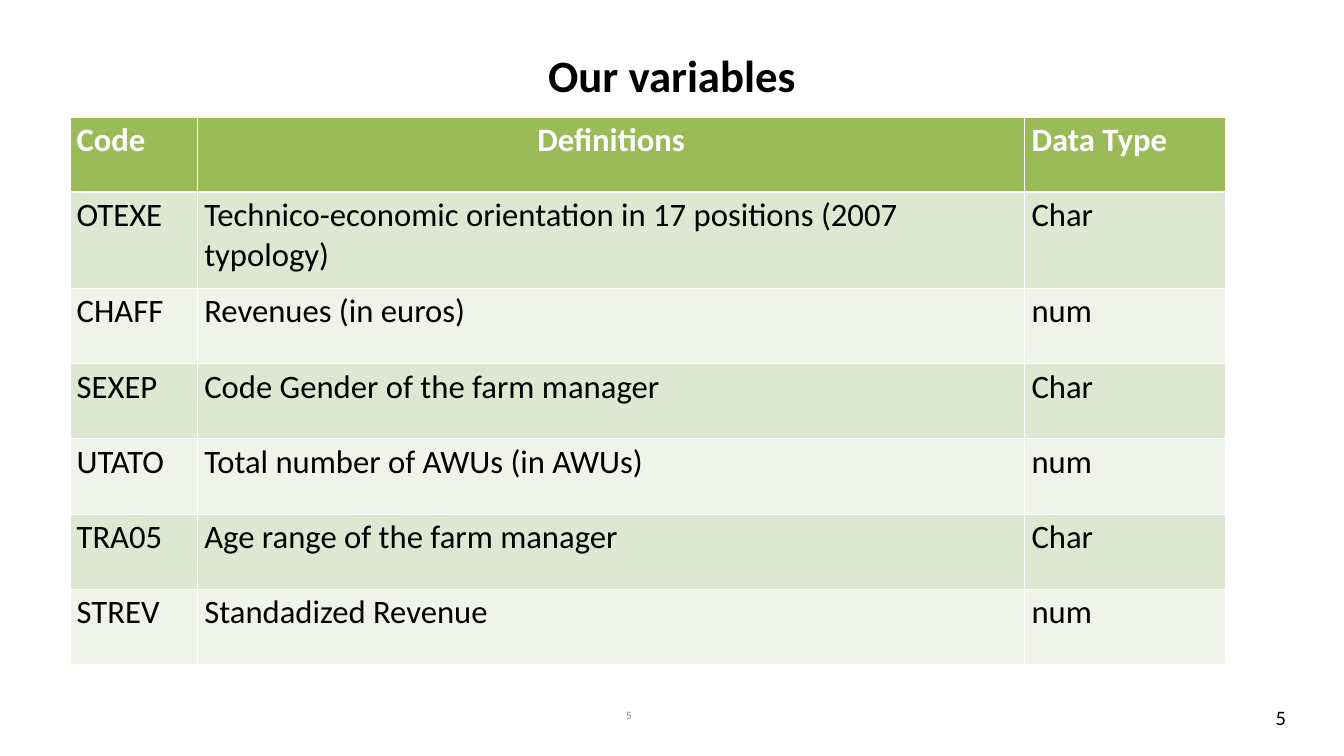
from lxml import etree
from pptx import Presentation
from pptx.dml.color import RGBColor
from pptx.enum.text import MSO_ANCHOR, PP_ALIGN
from pptx.oxml.ns import qn
from pptx.util import Inches, Pt

LEFT, MID, RIGHT = PP_ALIGN.LEFT, PP_ALIGN.CENTER, PP_ALIGN.RIGHT
TOP, CENTRE = MSO_ANCHOR.TOP, MSO_ANCHOR.MIDDLE
WIDE, HIGH = 20, 11.25
FONT = "Calibri"
BLACK, WHITE, GREY = "000000", "FFFFFF", "8C8C8C"
HEAD, BANDS = "9BBB59", ("DEE7D1", "EFF3EA")

COLS = (1.9, 12.31, 2.98)
ROW, TALL = 1.12, 1.43
FOOT = 10.44
ROWS = (
    ("Code", "Definitions", "Data Type"),
    ("OTEXE", "Technico-economic orientation in 17 positions (2007 typology)", "Char"),
    ("CHAFF", "Revenues (in euros)", "num"),
    ("SEXEP", "Code Gender of the farm manager", "Char"),
    ("UTATO", "Total number of AWUs (in AWUs)", "num"),
    ("TRA05", "Age range of the farm manager", "Char"),
    ("STREV", "Standadized Revenue", "num"),
)


def paint(code):
    return RGBColor.from_string(code)


def write(frame, text, size, color=BLACK, bold=False, align=LEFT):
    para = frame.paragraphs[0]
    para.alignment = align
    run = para.add_run()
    run.text = text
    font = run.font
    font.name, font.size, font.bold = FONT, Pt(size), bold
    font.color.rgb = paint(color)


def place(shape, left, top, width, height):
    shape.left, shape.top = Inches(left), Inches(top)
    shape.width, shape.height = Inches(width), Inches(height)


def add_title(slide, text):
    title = slide.shapes.title
    wide = 0.45 * WIDE
    place(title, (WIDE - wide) / 2, 0.49, wide, HIGH / 9)
    title.text_frame.vertical_anchor = CENTRE
    write(title.text_frame, text, 48, bold=True, align=MID)


def add_edges(cell, base):
    props = cell._tc.get_or_add_tcPr()
    for side, width in (("L", 1), ("R", 1), ("T", 1), ("B", base)):
        line = etree.SubElement(props, qn(f"a:ln{side}"), w=str(Pt(width)))
        fill = etree.SubElement(line, qn("a:solidFill"))
        etree.SubElement(fill, qn("a:srgbClr"), val=WHITE)


def fill_cell(cell, text, row, col):
    head = row == 0
    # Edges come before the fill in the cell's XML
    add_edges(cell, 3 if head else 1)
    cell.fill.solid()
    cell.fill.fore_color.rgb = paint(HEAD if head else BANDS[(row - 1) % 2])
    cell.vertical_anchor = TOP
    write(cell.text_frame, text, 35, WHITE if head else BLACK, head,
          MID if head and col == 1 else LEFT)


def add_grid(slide, left, top):
    highs = [TALL if row == 1 else ROW for row in range(len(ROWS))]
    frame = slide.shapes.add_table(
        len(ROWS), len(COLS), Inches(left), Inches(top),
        Inches(sum(COLS)), Inches(sum(highs)))
    table = frame.table
    for col, width in enumerate(COLS):
        table.columns[col].width = Inches(width)
    for row, texts in enumerate(ROWS):
        table.rows[row].height = Inches(highs[row])
        for col, text in enumerate(texts):
            fill_cell(table.cell(row, col), text, row, col)


def add_label(slide, text, box, size, color, align, anchor):
    shape = slide.shapes.add_textbox(*map(Inches, box))
    frame = shape.text_frame
    frame.word_wrap = True
    frame.vertical_anchor = anchor
    write(frame, text, size, color, align=align)


def main():
    deck = Presentation()
    deck.slide_width, deck.slide_height = Inches(WIDE), Inches(HIGH)
    slide = deck.slides.add_slide(deck.slide_layouts[5])

    # Title and table of variables
    add_title(slide, "Our variables")
    add_grid(slide, 1.04, 1.74)

    # Page numbers, both in the foot below the table
    add_label(slide, "5", (7.17, FOOT, 2.33, 0.4), 12, GREY, RIGHT, CENTRE)
    add_label(slide, "5", (18.61, FOOT, 0.9, 0.47), 22, BLACK, MID, TOP)

    deck.save("out.pptx")


if __name__ == "__main__":
    main()
